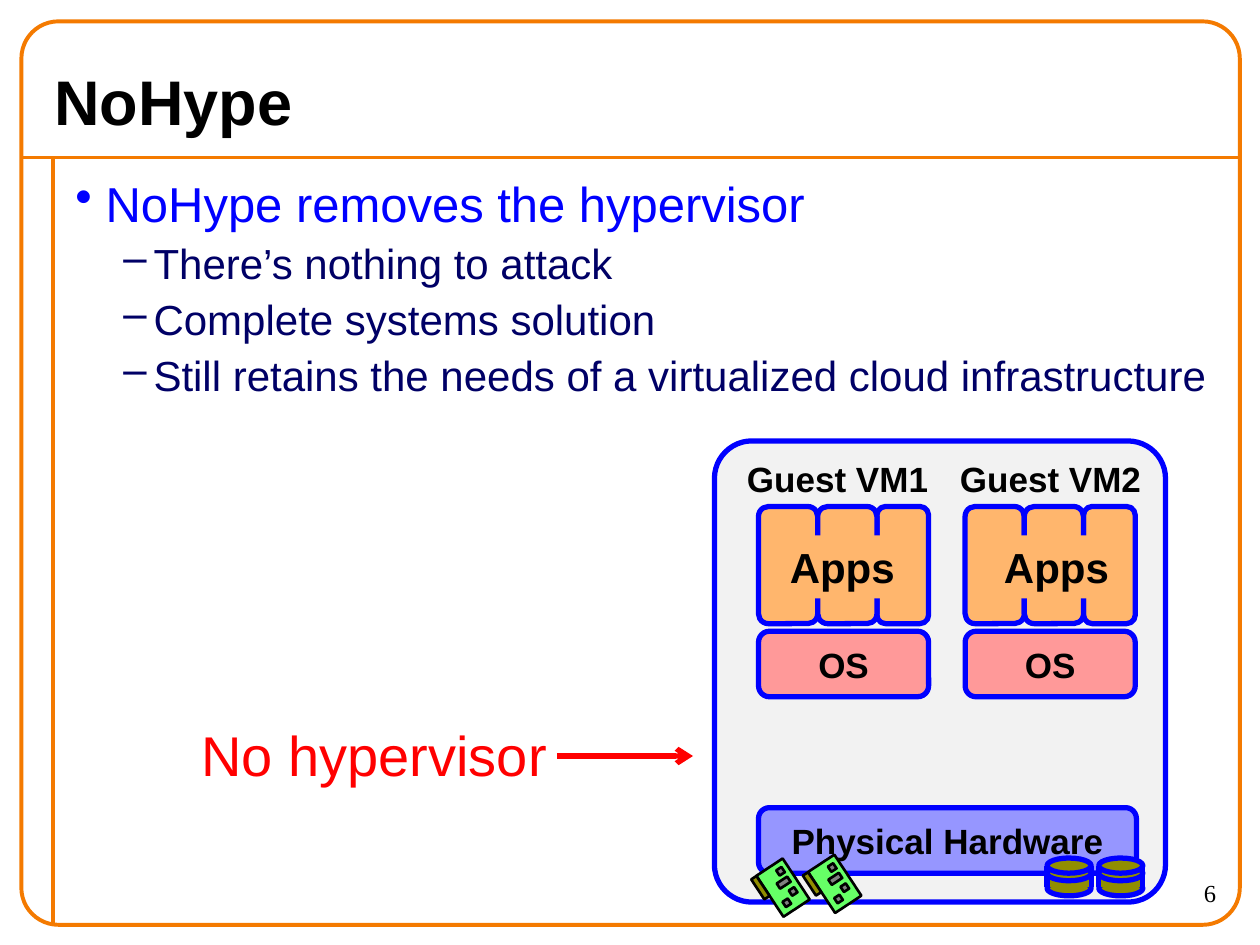
from dataclasses import dataclass
from typing import Optional

from lxml import etree
from pptx import Presentation
from pptx import util as u
from pptx.dml.color import RGBColor
from pptx.enum import shapes, text
from pptx.oxml import ns

ORANGE = RGBColor(0xF4, 0x7A, 0x00)
BLUE = RGBColor(0x00, 0x00, 0xFF)
NAVY = RGBColor(0x00, 0x00, 0x66)
RED = RGBColor(0xFF, 0x00, 0x00)
BLACK = RGBColor(0x00, 0x00, 0x00)
PALE_GRAY = RGBColor(0xF2, 0xF2, 0xF2)
GRAY = RGBColor(0x80, 0x80, 0x80)
LAVENDER = RGBColor(0x96, 0x96, 0xFF)
PINK = RGBColor(0xFF, 0x99, 0x99)
PEACH = RGBColor(0xFF, 0xB6, 0x6D)
OLIVE = RGBColor(0x91, 0x8E, 0x00)
GREEN = RGBColor(0x66, 0xFF, 0x66)

RECT = shapes.MSO_SHAPE.RECTANGLE
ROUND = shapes.MSO_SHAPE.ROUNDED_RECTANGLE
OVAL = shapes.MSO_SHAPE.OVAL
LEFT = text.PP_ALIGN.LEFT
CENTER = text.PP_ALIGN.CENTER
RIGHT = text.PP_ALIGN.RIGHT
CARD_ROTATION = 326.6


@dataclass(frozen=True)
class Box:
    left: float
    top: float
    width: float
    height: float

    def inches(self) -> tuple:
        return tuple(u.Inches(v) for v in (self.left, self.top, self.width, self.height))

    def moved(self, dx: float, dy: float) -> "Box":
        return Box(self.left + dx, self.top + dy, self.width, self.height)


@dataclass(frozen=True)
class Style:
    size: float
    color: RGBColor = BLACK
    bold: bool = False
    name: str = "Arial"


@dataclass(frozen=True)
class Bullet:
    words: str
    level: int
    mark: str
    indent: float
    style: Style


@dataclass(frozen=True)
class Guest:
    name: str
    left: float
    label_left: float
    apps_left: float


@dataclass(frozen=True)
class CardPart:
    box: Box
    fill: RGBColor


LABEL = Style(20, bold=True)
POINT = Style(28, BLUE)
DETAIL = Style(24, NAVY)
BULLETS = [
    Bullet("NoHype removes the hypervisor", 0, "•", 0.24, POINT),
    Bullet("There’s nothing to attack", 1, "–", 0.62, DETAIL),
    Bullet("Complete systems solution", 1, "–", 0.62, DETAIL),
    Bullet("Still retains the needs of a virtualized cloud infrastructure", 1, "–", 0.62, DETAIL),
]
GUESTS = [Guest("Guest VM1", 6.02, 5.83, 6.17), Guest("Guest VM2", 7.66, 7.52, 7.87)]
CARD_PARTS = [
    CardPart(Box(6.5, 6.82, 0.25, 0.39), GREEN),
    CardPart(Box(6.42, 6.92, 0.05, 0.19), OLIVE),
    CardPart(Box(6.58, 6.86, 0.05, 0.05), GRAY),
    CardPart(Box(6.68, 7.02, 0.05, 0.05), GRAY),
    CardPart(Box(6.58, 6.95, 0.1, 0.05), GRAY),
    CardPart(Box(6.63, 7.11, 0.05, 0.05), GRAY),
]


def set_font(paragraph, style: Style) -> None:
    font = paragraph.font
    font.name, font.size, font.bold = style.name, u.Pt(style.size), style.bold
    font.color.rgb = style.color


def write(shape, words: str, style: Style, align=LEFT, anchor=text.MSO_ANCHOR.TOP, wrap=False) -> None:
    frame = shape.text_frame
    frame.text, frame.word_wrap, frame.vertical_anchor = words, wrap, anchor
    frame.paragraphs[0].alignment = align
    set_font(frame.paragraphs[0], style)


def add_label(parent, box: Box, words: str, style: Style, align=LEFT, wrap=False) -> None:
    write(parent.add_textbox(*box.inches()), words, style, align, wrap=wrap)


def add_box(parent, kind, box: Box, fill: Optional[RGBColor], line: Optional[RGBColor] = BLUE,
            weight: float = 3, corner: Optional[float] = None):
    shape = parent.add_shape(kind, *box.inches())
    shape.shadow.inherit = False
    if fill is None:
        shape.fill.background()
    else:
        shape.fill.solid()
        shape.fill.fore_color.rgb = fill
    if line is None:
        shape.line.fill.background()
    else:
        shape.line.color.rgb, shape.line.width = line, u.Pt(weight)
    if corner is not None:
        shape.adjustments[0] = corner
    return shape


def add_block(parent, box: Box, words: str, fill: RGBColor) -> None:
    write(add_box(parent, ROUND, box, fill), words, LABEL, CENTER, text.MSO_ANCHOR.MIDDLE)


def add_line(parent, x1: float, y1: float, x2: float, y2: float, color: RGBColor = BLUE,
             weight: float = 3, arrow: bool = False) -> None:
    ends = [u.Inches(v) for v in (x1, y1, x2, y2)]
    connector = parent.add_connector(shapes.MSO_CONNECTOR.STRAIGHT, *ends)
    connector.line.color.rgb, connector.line.width = color, u.Pt(weight)
    if arrow:
        etree.SubElement(connector.line._get_or_add_ln(), ns.qn("a:tailEnd"), type="arrow")
    etree.SubElement(connector._element.spPr, ns.qn("a:effectLst"))


def add_bullets(parent, box: Box, bullets: list[Bullet]) -> None:
    frame = parent.add_textbox(*box.inches()).text_frame
    frame.word_wrap = True
    for index, bullet in enumerate(bullets):
        paragraph = frame.add_paragraph() if index else frame.paragraphs[0]
        paragraph.text, paragraph.level = bullet.words, bullet.level
        if index:
            paragraph.space_before = u.Pt(3)
        properties = paragraph._p.get_or_add_pPr()
        properties.set("marL", str(u.Inches(bullet.indent)))
        properties.set("indent", str(u.Inches(-0.24)))
        etree.SubElement(properties, ns.qn("a:buChar"), char=bullet.mark)
        set_font(paragraph, bullet.style)


def add_guest(parent, guest: Guest) -> None:
    add_block(parent, Box(guest.left, 5.01, 1.35, 0.52), "OS", PINK)
    for offset, width in ((0, 0.47), (0.94, 0.41), (0.47, 0.47)):
        add_box(parent, ROUND, Box(guest.left + offset, 4.02, width, 0.93), PEACH)
    apps = add_box(parent, RECT, Box(guest.apps_left, 4.25, 1.04, 0.5), PEACH, None)
    write(apps, "Apps", Style(24, bold=True), wrap=True)
    add_label(parent, Box(guest.label_left, 3.58, 1.65, 0.44), guest.name, LABEL)


def add_disk(parent, left: float) -> None:
    add_box(parent, OVAL, Box(left, 6.99, 0.35, 0.12), OLIVE)
    add_box(parent, RECT, Box(left, 6.87, 0.35, 0.17), OLIVE, None)
    for x in (left, left + 0.35):
        add_line(parent, x, 6.87, x, 7.04)
    for top in (6.87, 6.81):
        add_box(parent, OVAL, Box(left, top, 0.35, 0.12), OLIVE)


def add_card(parent, dx: float, dy: float) -> None:
    group = parent.add_group_shape()
    for part in CARD_PARTS:
        shape = add_box(group.shapes, RECT, part.box.moved(dx, dy), part.fill, BLACK, 1.5)
        shape.rotation = CARD_ROTATION


def main() -> None:
    presentation = Presentation()
    presentation.slide_width, presentation.slide_height = u.Inches(10), u.Inches(7.5)
    slide = presentation.slides.add_slide(presentation.slide_layouts[5])
    parent = slide.shapes

    add_line(parent, 0.17, 1.25, 9.83, 1.25, ORANGE, 2.25)
    add_line(parent, 0.42, 1.25, 0.42, 7.33, ORANGE, 2.25)
    add_box(parent, ROUND, Box(0.17, 0.17, 9.67, 7.17), None, ORANGE, 2.25, 0.041)
    title = parent.title
    title.left, title.top, title.width, title.height = Box(0.33, 0.42, 8.82, 0.75).inches()
    write(title, "NoHype", Style(36, bold=True), anchor=text.MSO_ANCHOR.MIDDLE, wrap=True)
    add_bullets(parent, Box(0.5, 1.33, 9.25, 6), BULLETS)
    add_label(parent, Box(8.75, 6.92, 1, 0.42), "6", Style(14, name="Times New Roman"), RIGHT, True)

    add_box(parent, ROUND, Box(5.67, 3.5, 3.58, 3.66), PALE_GRAY, corner=0.083)
    add_block(parent, Box(6.02, 6.41, 3, 0.52), "Physical Hardware", LAVENDER)
    for guest in GUESTS:
        add_guest(parent, guest)
    for left in (8.31, 8.72):
        add_disk(parent, left)
    for dx, dy in ((0, 0), (-0.41, 0.03)):
        add_card(parent, dx, dy)
    add_label(parent, Box(1.5, 5.67, 2.97, 0.64), "No hypervisor", Style(32, RED))
    add_line(parent, 4.42, 6, 5.5, 6, RED, arrow=True)
    presentation.save("out.pptx")


if __name__ == "__main__":
    main()
